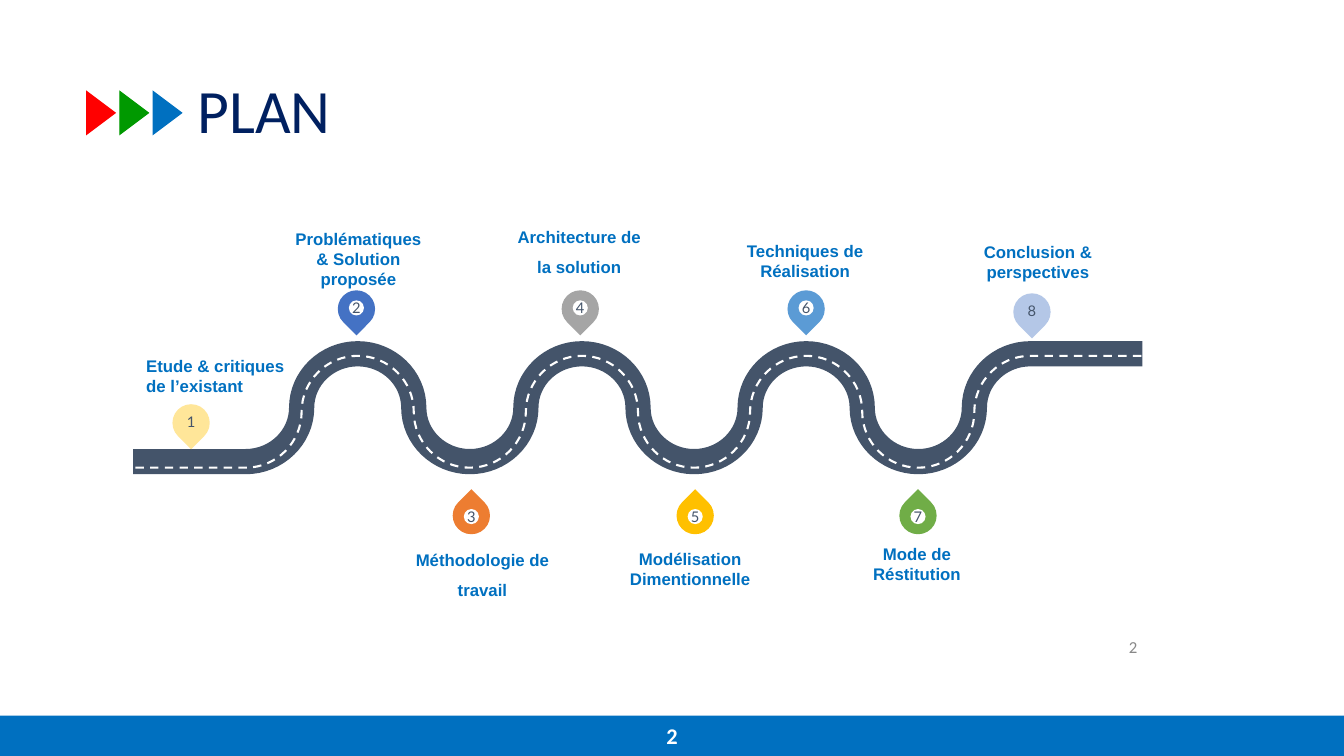
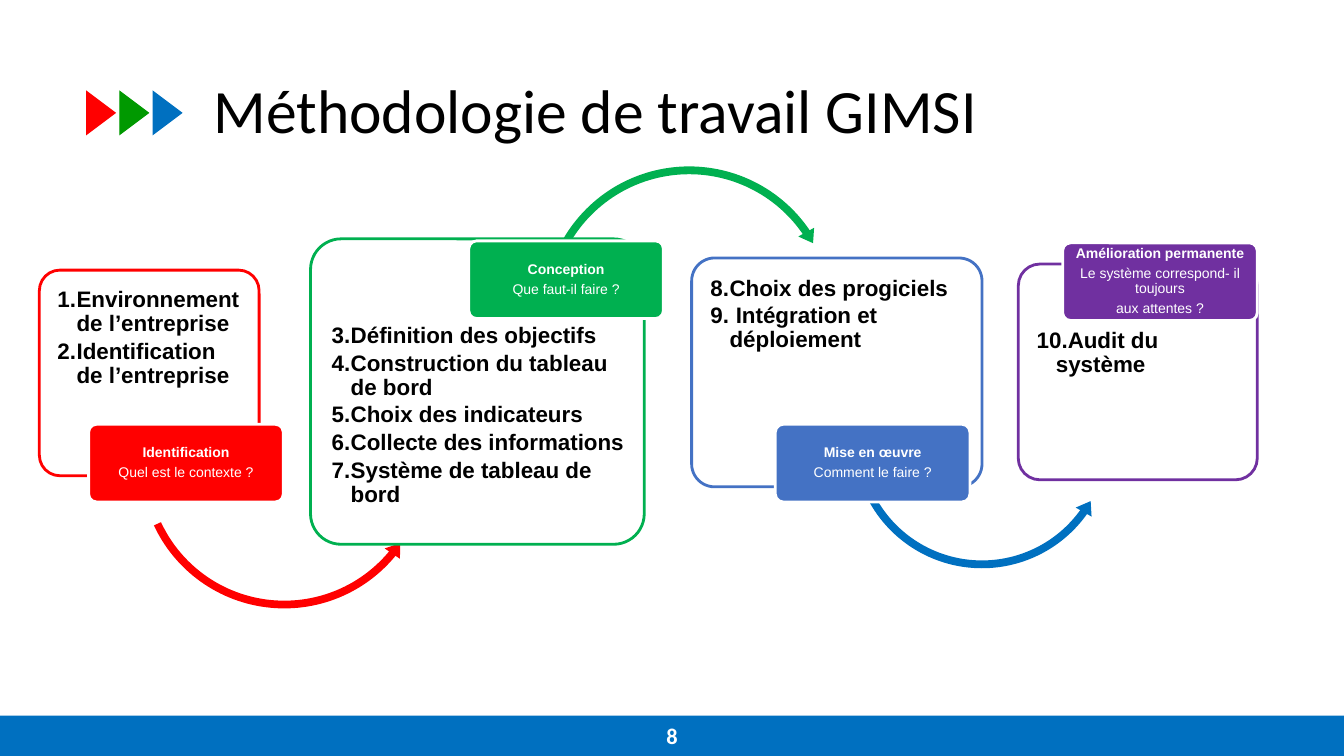
from lxml import etree
from pptx import Presentation
from pptx.dml.color import RGBColor
from pptx.enum.dml import MSO_LINE
from pptx.enum.shapes import MSO_SHAPE
from pptx.enum.text import MSO_ANCHOR, PP_ALIGN
from pptx.oxml.ns import qn
from pptx.util import Inches, Pt

RECTANGLE, ROUNDED = MSO_SHAPE.RECTANGLE, MSO_SHAPE.ROUNDED_RECTANGLE
TRIANGLE, TEARDROP, OVAL = MSO_SHAPE.ISOSCELES_TRIANGLE, MSO_SHAPE.TEAR, MSO_SHAPE.OVAL
ARC_OVER, ARC_UNDER = MSO_SHAPE.CIRCULAR_ARROW, MSO_SHAPE.LEFT_CIRCULAR_ARROW
LEFT, CENTER, RIGHT = PP_ALIGN.LEFT, PP_ALIGN.CENTER, PP_ALIGN.RIGHT
TOP, MIDDLE, BOTTOM = MSO_ANCHOR.TOP, MSO_ANCHOR.MIDDLE, MSO_ANCHOR.BOTTOM

WHITE, BLACK, NAVY, SLATE, GREY = "FFFFFF", "000000", "002060", "44546A", "888888"
BLUE, RED, GREEN, LEAF, ROYAL, PURPLE = (
    "0070C0", "FF0000", "009900", "00B050", "4472C4", "7030A0")

rgb = RGBColor.from_string


def add_shape(slide, kind, at, fill, line=None, width=1):
    shape = slide.shapes.add_shape(kind, *map(Inches, at))
    shape.shadow.inherit = False
    shape.fill.solid()
    shape.fill.fore_color.rgb = rgb(fill)
    if line:
        shape.line.color.rgb = rgb(line)
        shape.line.width = Pt(width)
    else:
        shape.line.fill.background()
    return shape


def write(shape, lines, size, colour, font="Arial", bold=False, align=CENTER,
          anchor=MIDDLE, insets=(0, 0, 0, 0), spacing=None, after=None):
    """Fill the shape with one paragraph per line; insets are left, top, right, bottom."""
    frame = shape.text_frame
    frame.word_wrap = True
    frame.vertical_anchor = anchor
    (frame.margin_left, frame.margin_top,
     frame.margin_right, frame.margin_bottom) = map(Inches, insets)
    frame.text = "\n".join(lines)
    for paragraph in frame.paragraphs:
        paragraph.alignment = align
        paragraph.line_spacing = spacing
        paragraph.space_after = after
        paragraph.font.size = Pt(size)
        paragraph.font.name = font
        paragraph.font.bold = bold
        paragraph.font.color.rgb = rgb(colour)
    return frame.paragraphs


prs = Presentation()
prs.slide_width, prs.slide_height = Inches(13.33), Inches(7.5)
blank = prs.slide_layouts[6]

# Title, band and triangles on every slide
slides = []
for page, title, title_left, title_colour in [
    ("2", "PLAN", 1.86, NAVY),
    ("8", "Méthodologie de travail GIMSI", 2.02, BLACK),
]:
    slide = prs.slides.add_slide(blank)
    slides.append(slide)
    heading = slide.shapes.add_textbox(
        Inches(title_left), Inches(0.4), Inches(12.42 - title_left), Inches(1.45))
    write(heading, [title], 44, title_colour, "Calibri", align=LEFT,
          insets=(0.1, 0.05, 0.1, 0.05), spacing=0.9)
    band = add_shape(slide, RECTANGLE, (0, 7.1, 13.33, 0.4), BLUE)
    write(band, [page], 16, WHITE, "Calibri", bold=True)
    for i, colour in enumerate([RED, GREEN, BLUE]):
        marker = add_shape(slide, TRIANGLE, (0.79 + i * 0.33, 0.98, 0.42, 0.28),
                           colour, colour)
        marker.rotation = 90
        outline = marker._element.spPr.find(qn("a:ln"))
        etree.SubElement(outline, qn("a:miter"), lim="800000")
plan, method = slides

# Plan: a winding road with numbered pins
page_number = plan.shapes.add_textbox(Inches(10.78), Inches(6.01), Inches(0.5), Inches(0.51))
write(page_number, ["2"], 12, GREY, "Calibri", align=RIGHT, anchor=BOTTOM)

QUARTERS = 14
ROUNDNESS = 0.55
for road_top, road_bottom, right_end, colour, width, dash in [
    (3.51, 4.58, 11.33, SLATE, 18, None),
    (3.53, 4.64, 11.32, WHITE, 1.5, MSO_LINE.DASH),
]:
    middle = (road_top + road_bottom) / 2
    heights = [road_top, middle, road_bottom, middle]
    turns = [(10.22 - i * 0.556, heights[i % 4]) for i in range(QUARTERS + 1)]
    start, *others = [(Inches(x), Inches(y)) for x, y in
                      [(right_end, road_top), *turns, (1.32, road_bottom)]]
    builder = plan.shapes.build_freeform(*start)
    builder.add_line_segments(others, close=False)
    road = builder.convert_to_shape()
    road.shadow.inherit = False
    road.fill.background()
    road.line.color.rgb = rgb(colour)
    road.line.width = Pt(width)
    road.line.dash_style = dash

    # Bend the segments between the turns into quarter ellipses
    segments = list(road._element.iter(qn("a:lnTo")))
    ends = [(int(segment[0].get("x")), int(segment[0].get("y"))) for segment in segments]
    for i in range(QUARTERS):
        (x1, y1), (x2, y2) = ends[i], ends[i + 1]
        near_x, near_y = x1 + (x2 - x1) * ROUNDNESS, y1 + (y2 - y1) * ROUNDNESS
        far_x, far_y = x2 - (x2 - x1) * ROUNDNESS, y2 - (y2 - y1) * ROUNDNESS
        if i % 2 == 0:
            controls = [(near_x, y1), (x2, far_y)]
        else:
            controls = [(x1, near_y), (far_x, y2)]
        curve = etree.Element(qn("a:cubicBezTo"))
        for x, y in [*controls, (x2, y2)]:
            etree.SubElement(curve, qn("a:pt"), x=str(round(x)), y=str(round(y)))
        segment = segments[i + 1]
        segment.getparent().replace(segment, curve)

# Text, pin left and top, pin colour, dot colour, caption left and top, anchor, spacing
steps = [
    ("Etude & critiques de l’existant", 1.71, 4.01, "FFE699", "FFE699", 1.45, 3.35, BOTTOM, None),
    ("Problématiques & Solution proposée", 3.35, 2.88, ROYAL, WHITE, 2.86, 2.27, TOP, None),
    ("Méthodologie de travail", 4.49, 4.93, "ED7D31", WHITE, 4.09, 5.37, BOTTOM, 1.5),
    ("Architecture de la solution", 5.57, 2.88, "A5A5A5", WHITE, 5.05, 2.15, TOP, 1.5),
    ("Modélisation Dimentionnelle", 6.71, 4.93, "FFC000", WHITE, 6.15, 5.26, BOTTOM, None),
    ("Techniques de Réalisation", 7.81, 2.88, "5B9BD5", WHITE, 7.29, 2.21, BOTTOM, None),
    ("Mode de Réstitution", 8.92, 4.93, "70AD47", WHITE, 8.4, 5.39, TOP, None),
    ("Conclusion & perspectives", 10.05, 2.91, "B4C7E7", "B4C7E7", 9.6, 2.22, BOTTOM, None),
]
for number, (text, pin_left, pin_top, pin_colour, dot_colour,
             left, top, anchor, spacing) in enumerate(steps, 1):
    below_road = pin_top > 4.5
    pin = add_shape(plan, TEARDROP, (pin_left, pin_top, 0.37, 0.37), pin_colour)
    pin.rotation = 315 if below_road else 135
    dot_top = pin_top + (0.12 if below_road else 0.1)
    dot = add_shape(plan, OVAL, (pin_left + 0.11, dot_top, 0.15, 0.15), dot_colour)
    write(dot, [str(number)], 10.5, SLATE, "Lato")
    caption = plan.shapes.add_textbox(Inches(left), Inches(top), Inches(1.39), Inches(0.58))
    write(caption, [text], 12, BLUE, bold=True, align=LEFT if number == 1 else CENTER,
          anchor=anchor, spacing=spacing)

# Method: four phases linked by curved arrows
# Colour, box, text top inset, first number, tasks, label left and top, label lines, arrow
phases = [
    (RED, (0.39, 2.68, 2.18, 2.04), 0.12, 1,
     ["Environnement de l’entreprise", "Identification de l’entreprise"],
     0.88, 4.21, ["Identification", "Quel est le contexte ?"],
     (ARC_UNDER, (1.34, 3.13, 2.96, 2.96), RED, (0.026, 3.196, 23.692, 92.986, 0.031))),
    (LEAF, (3.08, 2.37, 3.31, 3.03), 0.76, 3,
     ["Définition des objectifs", "Construction du tableau de bord", "Choix des indicateurs",
      "Collecte des informations", "Système de tableau de bord"],
     4.65, 2.39, ["Conception", "Que faut-il faire ?"],
     (ARC_OVER, (5.34, 1.6, 2.99, 2.99), LEAF, (0.026, 3.16, 195.419, 126.089, 0.03))),
    (ROYAL, (6.86, 2.56, 2.88, 2.27), 0.12, 8,
     ["Choix des progiciels", " Intégration et déploiement"],
     7.69, 4.21, ["Mise en œuvre", "Comment le faire ?"],
     (ARC_UNDER, (8.41, 3.03, 2.66, 2.66), BLUE, (0.029, 3.586, 21.333, 90.237, 0.034))),
    (PURPLE, (10.1, 2.62, 2.37, 2.14), 0.58, 10,
     ["Audit du système"],
     10.54, 2.41,
     ["Amélioration permanente", "Le système correspond- il toujours", "aux attentes ?"],
     None),
]
for (colour, box_at, text_top, first, tasks,
     label_left, label_top, label_lines, arrow) in phases:
    box = add_shape(method, ROUNDED, box_at, WHITE, colour, 2)
    box.adjustments[0] = 0.1
    fill_colour = box._element.spPr.find(qn("a:solidFill"))[0]
    etree.SubElement(fill_colour, qn("a:alpha"), val="90000")
    for task in write(box, tasks, 16, BLACK, bold=True, align=LEFT, anchor=TOP,
                      insets=(0.12, text_top, 0.1, 0.1), spacing=0.9, after=Pt(2.4)):
        properties = task._p.get_or_add_pPr()
        properties.set("marL", str(Inches(0.19)))
        properties.set("indent", str(-Inches(0.19)))
        numbering = etree.Element(qn("a:buAutoNum"), type="arabicPeriod", startAt=str(first))
        properties.find(qn("a:defRPr")).addprevious(numbering)

    if arrow:
        arc, arrow_at, arrow_colour, bends = arrow
        curved_arrow = add_shape(method, arc, arrow_at, arrow_colour)
        for i, bend in enumerate(bends):
            curved_arrow.adjustments[i] = bend

    label = add_shape(method, ROUNDED, (label_left, label_top, 1.93, 0.77), colour, WHITE, 2)
    label.adjustments[0] = 0.1
    name, *_ = write(label, label_lines, 10, WHITE, insets=(0.02, 0.01, 0.02, 0.01),
                     spacing=0.9, after=Pt(3.5))
    name.font.bold = True

prs.save("out.pptx")
